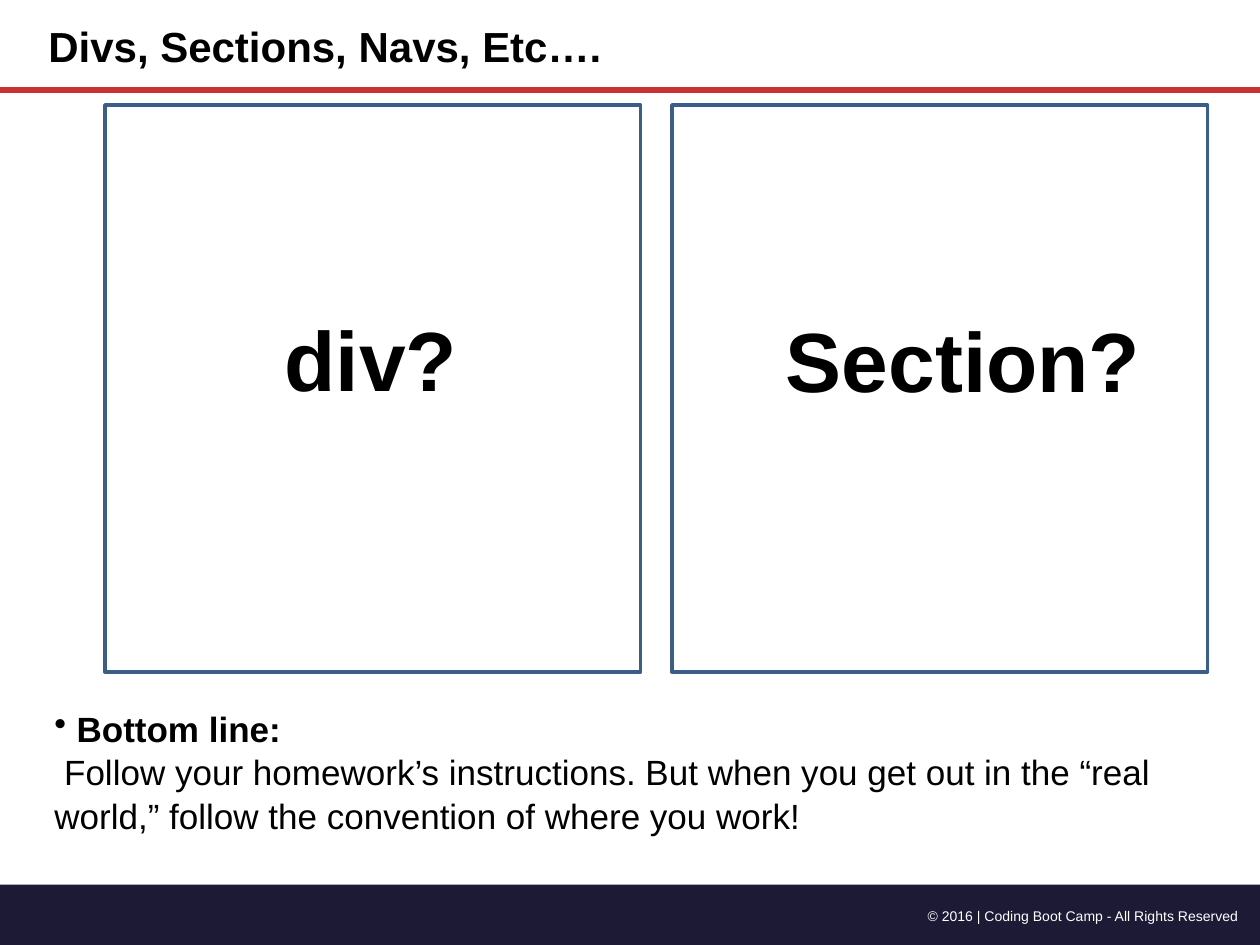
from dataclasses import dataclass

from lxml import etree
from pptx import Presentation
from pptx import util as u
from pptx.dml.color import RGBColor
from pptx.enum import shapes, text
from pptx.oxml import ns


@dataclass(frozen=True)
class Theme:
    font: str = "Arial"
    ink: str = "000000"
    paper: str = "FFFFFF"
    navy: str = "1D1A36"
    red: str = "C83232"
    blue: str = "3A5E8A"
    title_size: float = 24
    body_size: float = 20
    card_size: float = 48
    footer_size: float = 8


def write(para, words, *, font, size, color, bold=False, align=text.PP_ALIGN.LEFT,
          spacing=None, bullet=None):
    """Put words into a paragraph with the given format."""
    para.alignment = align
    if spacing:
        para.line_spacing = spacing
    if bullet:
        mark = etree.SubElement(para._p.get_or_add_pPr(), ns.qn("a:buChar"))
        mark.set("char", bullet)
    span = para.add_run()
    span.text = words
    span.font.name = font
    span.font.size = u.Pt(size)
    span.font.bold = bold
    span.font.color.rgb = RGBColor.from_string(color)


class Page:
    """Holds the theme and the current slide; lengths are points."""

    def __init__(self, slide, theme):
        self.slide = slide
        self.theme = theme

    def fill_frame(self, frame, lines, inset, wrap=True):
        frame.word_wrap = wrap
        frame.auto_size = text.MSO_AUTO_SIZE.NONE
        frame.vertical_anchor = text.MSO_ANCHOR.TOP
        frame.margin_left = frame.margin_right = u.Pt(inset)
        frame.margin_top = frame.margin_bottom = u.Pt(inset)
        for index, (words, style) in enumerate(lines):
            para = frame.add_paragraph() if index else frame.paragraphs[0]
            write(para, words, **{"font": self.theme.font, "color": self.theme.ink, **style})

    def title(self, words, left, top, width, height):
        box = self.slide.shapes.title
        box.left, box.top = u.Pt(left), u.Pt(top)
        box.width, box.height = u.Pt(width), u.Pt(height)
        self.fill_frame(box.text_frame,
                        [(words, {"size": self.theme.title_size, "bold": True})], 3.6)

    def text(self, lines, left, top, width, height, inset=3.6, wrap=True):
        box = self.slide.shapes.add_textbox(u.Pt(left), u.Pt(top), u.Pt(width), u.Pt(height))
        self.fill_frame(box.text_frame, lines, inset, wrap)

    def rectangle(self, left, top, width, height, fill=None, line=None, weight=2):
        box = self.slide.shapes.add_shape(shapes.MSO_SHAPE.RECTANGLE, u.Pt(left), u.Pt(top),
                                          u.Pt(width), u.Pt(height))
        box.shadow.inherit = False
        if fill:
            box.fill.solid()
            box.fill.fore_color.rgb = RGBColor.from_string(fill)
        else:
            box.fill.background()
        if line:
            box.line.color.rgb = RGBColor.from_string(line)
            box.line.width = u.Pt(weight)
        else:
            box.line.fill.background()

    def rule(self, left, top, right, color, weight):
        line = self.slide.shapes.add_connector(shapes.MSO_CONNECTOR.STRAIGHT, u.Pt(left),
                                               u.Pt(top), u.Pt(right), u.Pt(top))
        line.line.color.rgb = RGBColor.from_string(color)
        line.line.width = u.Pt(weight)
        etree.SubElement(line._element.spPr, ns.qn("a:effectLst"))


def main():
    theme = Theme()
    deck = Presentation()
    deck.slide_width, deck.slide_height = u.Pt(720), u.Pt(540)
    title_only = deck.slide_layouts[5]
    page = Page(deck.slides.add_slide(title_only), theme)

    # Footer band
    page.rectangle(0, 505.5, 720.5, 36, fill=theme.navy)
    page.text([("© 2016 | Coding Boot Camp - All Rights Reserved",
                {"size": theme.footer_size, "color": theme.paper,
                 "align": text.PP_ALIGN.RIGHT})], 492, 515, 219.5, 16)

    # Heading and its rule
    page.rule(0, 51.3, 720, theme.red, 3.25)
    page.title("Divs, Sections, Navs, Etc….", 24, 8, 450, 34.5)

    # Bottom line
    body = {"size": theme.body_size, "spacing": 1.04}
    page.text([
        (" Bottom line:", {**body, "bold": True, "bullet": "•"}),
        (" Follow your homework’s instructions. But when you get out in the “real world,” "
         "follow the convention of where you work!", body),
    ], 24, 396, 687.5, 83, inset=7.2)

    # Two cards side by side
    card_left, card_top, card_width, card_height, gap = 60, 60, 306, 324, 18
    cards = [("div?", 159, 172, 106.5), ("Section?", 445.5, 172.8, 211)]
    for index, (words, left, top, width) in enumerate(cards):
        page.rectangle(card_left + index * (card_width + gap), card_top,
                       card_width, card_height, line=theme.blue)
        page.text([(words, {"size": theme.card_size, "bold": True})],
                  left, top, width, 60.5, wrap=False)

    deck.save("out.pptx")


if __name__ == "__main__":
    main()
